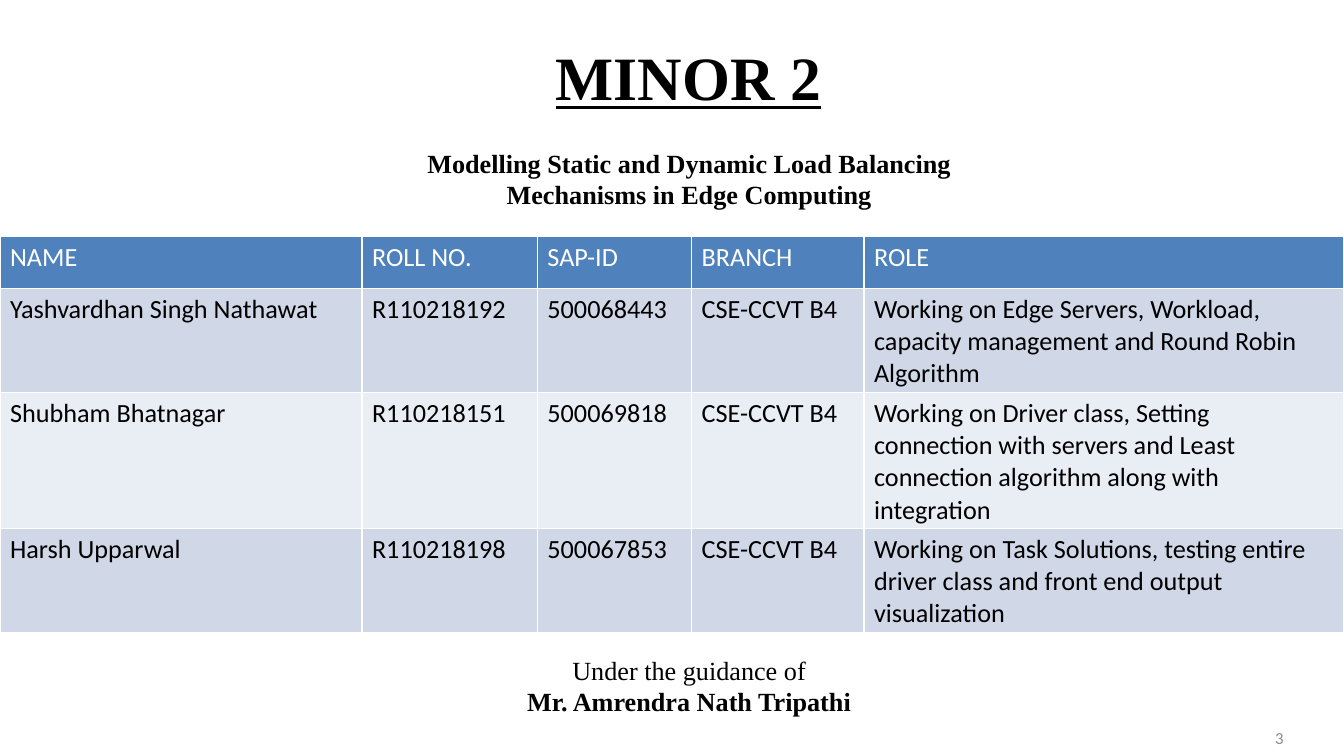
from pptx import Presentation
from pptx.dml.color import RGBColor
from pptx.enum.text import MSO_ANCHOR, PP_ALIGN
from pptx.util import Inches, Pt

THEME = {
    "serif": "Times New Roman", "sans": "Calibri",
    "title": 44, "text": 18.7, "number": 12,
    "ink": "000000", "white": "FFFFFF", "gray": "8C8C8C",
    "header": "4F81BD", "bands": ("D0D8E8", "E9EDF4"),
}

deck = Presentation()
deck.slide_width, deck.slide_height = Inches(13.33), Inches(7.5)
slide = deck.slides.add_slide(deck.slide_layouts[5])


def style(paragraph, face, size, color, bold=False, align=PP_ALIGN.CENTER):
    paragraph.alignment = align
    font = paragraph.font
    font.name, font.size, font.bold = THEME[face], Pt(THEME[size]), bold
    font.color.rgb = RGBColor.from_string(THEME[color])


def add_text(left, top, width, height, lines):
    box = slide.shapes.add_textbox(*map(Inches, (left, top, width, height)))
    frame = box.text_frame
    frame.word_wrap = True
    frame.text = "\n".join(lines)
    return frame


# Title
title = slide.shapes.title
title.left, title.top, title.width, title.height = map(Inches, (0.83, 0.13, 12, 1.25))
title.text_frame.text = "MINOR 2"
title.text_frame.vertical_anchor = MSO_ANCHOR.MIDDLE
heading = title.text_frame.paragraphs[0]
style(heading, "serif", "title", "ink", bold=True)
heading.font.underline = True

# Project topic
topic = add_text(3.5, 1.41, 6.67, 0.74,
                 ["Modelling Static and Dynamic Load Balancing Mechanisms in Edge Computing"])
style(topic.paragraphs[0], "serif", "text", "ink", bold=True)

# Team table
team = [
    ("NAME", "ROLL NO.", "SAP-ID", "BRANCH", "ROLE"),
    ("Yashvardhan Singh Nathawat", "R110218192", "500068443", "CSE-CCVT B4",
     "Working on Edge Servers, Workload, capacity management and Round Robin Algorithm"),
    ("Shubham Bhatnagar", "R110218151", "500069818", "CSE-CCVT B4",
     "Working on Driver class, Setting connection with servers and Least connection "
     "algorithm along with integration"),
    ("Harsh Upparwal", "R110218198", "500067853", "CSE-CCVT B4",
     "Working on Task Solutions, testing entire driver class and front end output visualization"),
]
column_widths = (3.59, 1.74, 1.53, 1.71, 4.76)
row_heights = (0.51, 0.87, 1.14, 0.87)
table = slide.shapes.add_table(
    len(team), len(column_widths), 0, Inches(2.35),
    Inches(sum(column_widths)), Inches(sum(row_heights))).table
for column, width in zip(table.columns, column_widths):
    column.width = Inches(width)
for r, (member, height) in enumerate(zip(team, row_heights)):
    table.rows[r].height = Inches(height)
    fill = THEME["bands"][(r - 1) % 2] if r else THEME["header"]
    for c, entry in enumerate(member):
        cell = table.cell(r, c)
        cell.text = entry
        cell.fill.solid()
        cell.fill.fore_color.rgb = RGBColor.from_string(fill)
        style(cell.text_frame.paragraphs[0], "sans", "text",
              "ink" if r else "white", align=PP_ALIGN.LEFT)

# Guide
guide = add_text(3.5, 6.44, 6.67, 0.74,
                 ["Under the guidance of", "Mr. Amrendra Nath Tripathi"])
for paragraph, bold in zip(guide.paragraphs, (False, True)):
    style(paragraph, "serif", "text", "ink", bold=bold)

# Slide number
number = add_text(9.72, 7.12, 3.11, 0.4, ["3"])
number.vertical_anchor = MSO_ANCHOR.MIDDLE
style(number.paragraphs[0], "sans", "number", "gray", align=PP_ALIGN.RIGHT)

deck.save("out.pptx")
